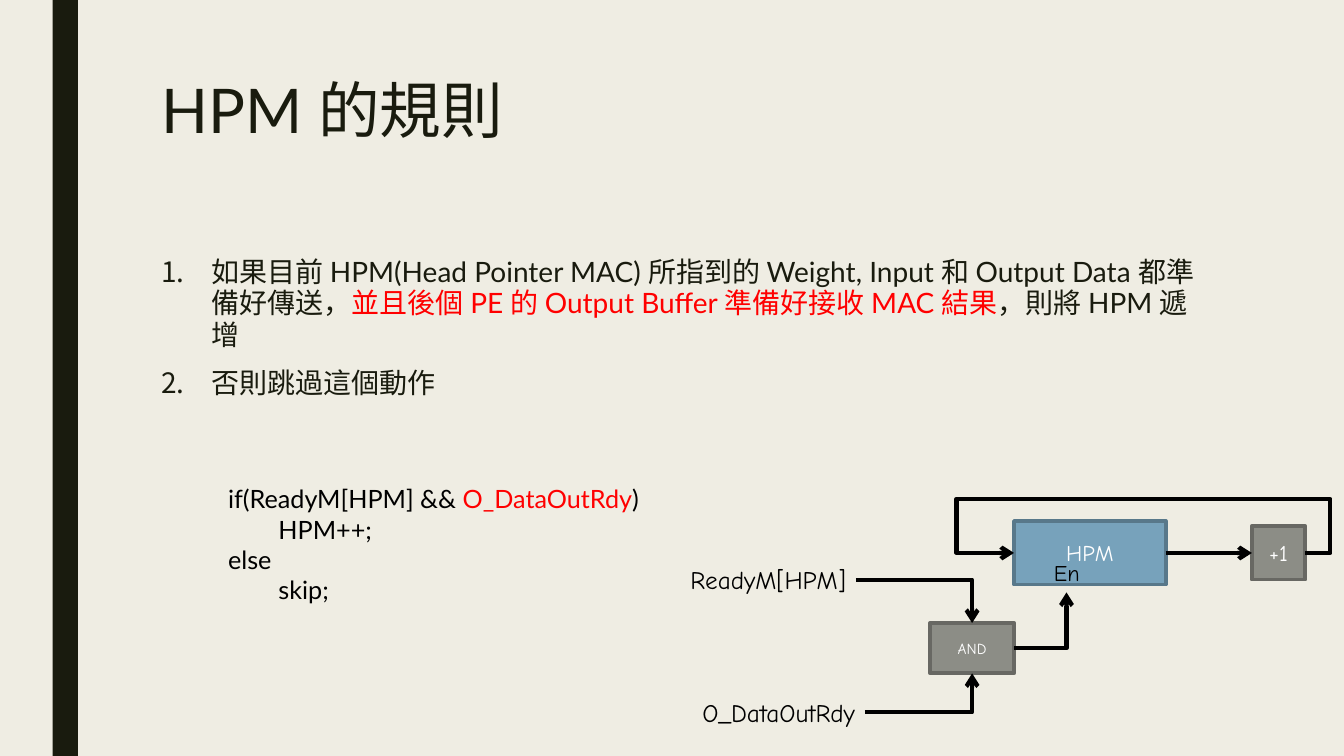
"""Build the slide on the HPM rules with its increment circuit."""
from dataclasses import dataclass

import pptx
import pptx.dml.color
import pptx.enum.shapes
import pptx.enum.text
import pptx.oxml
import pptx.oxml.ns
import pptx.util

Pt = pptx.util.Pt
ALIGN = pptx.enum.text.PP_ALIGN
CONNECTOR = pptx.enum.shapes.MSO_CONNECTOR


@dataclass(frozen=True)
class Theme:
    paper: str = "EFEDE3"
    ink: str = "191B0E"
    black: str = "000000"
    white: str = "FFFFFF"
    accent: str = "FF0000"
    register: tuple = ("77A2BB", "58788A")
    logic: tuple = ("8C8D86", "686863")
    text_font: str = "Lato"
    drawing_font: str = "Comic Neue"
    title: int = 44
    body: int = 20
    code: int = 18
    signal: int = 18
    block: int = 16
    gate: int = 11
    outline: float = 2.75
    wire: float = 3


THEME = Theme()


def color(value):
    return pptx.dml.color.RGBColor.from_string(value)


def add_element(parent, tag, **attributes):
    element = pptx.oxml.parse_xml(f"<a:{tag} {pptx.oxml.ns.nsdecls('a')}/>")
    for name, value in attributes.items():
        element.set(name, value)
    parent.append(element)


def add_text_box(page, left, top, width, height, wrap=True):
    box = page.shapes.add_textbox(Pt(left), Pt(top), Pt(width), Pt(height))
    box.text_frame.word_wrap = wrap
    return box.text_frame


def write(para, spans, size, font, ink, align=ALIGN.LEFT):
    """Fill a paragraph with (text, color) spans, where None means the ink color."""
    para.alignment = align
    para.font.size = Pt(size)
    para.font.name = font
    para.font.color.rgb = color(ink)
    for text, span_color in spans:
        span = para.add_run()
        span.text = text
        if span_color:
            span.font.color.rgb = color(span_color)


def add_paragraphs(frame, count):
    return [frame.paragraphs[0]] + [frame.add_paragraph() for _ in range(count - 1)]


def add_title(page, text):
    para = add_text_box(page, 108, 54, 756, 116.6).paragraphs[0]
    para.line_spacing = 0.89
    write(para, [(text, None)], THEME.title, THEME.text_font, THEME.ink)


def add_rules(page, rules):
    frame = add_text_box(page, 108, 180, 756, 282)
    for index, (para, spans) in enumerate(zip(add_paragraphs(frame, len(rules)), rules)):
        para.line_spacing = 0.94
        para.space_before = Pt(10 if index else 0)
        para.space_after = Pt(2)
        properties = para._p.get_or_add_pPr()
        properties.set("marL", str(Pt(36)))
        properties.set("indent", str(Pt(-36)))
        add_element(properties, "buFont", typeface="+mj-lt")
        add_element(properties, "buAutoNum", type="arabicPeriod")
        write(para, spans, THEME.body, THEME.text_font, THEME.ink)


def add_code(page, lines):
    frame = add_text_box(page, 113.8, 342, 718.6, 94.5)
    for para, (depth, spans) in zip(add_paragraphs(frame, len(lines)), lines):
        para._p.get_or_add_pPr().set("marL", str(Pt(42 + 36 * depth)))
        write(para, spans, THEME.code, THEME.text_font, THEME.black)


def add_label(page, text, left, top, width, height, size, wrap=True):
    para = add_text_box(page, left, top, width, height, wrap).paragraphs[0]
    write(para, [(text, None)], size, THEME.drawing_font, THEME.black, ALIGN.RIGHT)


def add_rectangle(page, left, top, width, height, fill):
    shape = page.shapes.add_shape(
        pptx.enum.shapes.MSO_SHAPE.RECTANGLE, Pt(left), Pt(top), Pt(width), Pt(height))
    shape.shadow.inherit = False
    shape.fill.solid()
    shape.fill.fore_color.rgb = color(fill)
    shape.line.fill.background()
    return shape


def add_block(page, text, left, top, width, height, colors, size):
    fill, edge = colors
    shape = add_rectangle(page, left, top, width, height, fill)
    shape.line.color.rgb = color(edge)
    shape.line.width = Pt(THEME.outline)
    frame = shape.text_frame
    frame.vertical_anchor = pptx.enum.text.MSO_ANCHOR.MIDDLE
    write(frame.paragraphs[0], [(text, None)], size, THEME.drawing_font,
          THEME.white, ALIGN.CENTER)


def add_wire(page, start, end, preset=None, adjustments=()):
    """Draw an arrow, straight or bent by the preset and its adjustments."""
    kind = CONNECTOR.ELBOW if preset else CONNECTOR.STRAIGHT
    wire = page.shapes.add_connector(kind, *map(Pt, start), *map(Pt, end))
    wire.line.color.rgb = color(THEME.black)
    wire.line.width = Pt(THEME.wire)
    add_element(wire.line._get_or_add_ln(), "tailEnd", type="arrow")
    properties = wire._element.spPr
    add_element(properties, "effectLst")
    if preset:
        geometry = properties.find(pptx.oxml.ns.qn("a:prstGeom"))
        geometry.set("prst", preset)
        guides = geometry.get_or_add_avLst()
        for number, share in enumerate(adjustments, 1):
            add_element(guides, "gd", name=f"adj{number}", fmla=f"val {round(share * 100000)}")


def add_feedback(page, start, end, right, top, left):
    """Draw the wire that loops back over the register."""
    width, height = start[0] - end[0], start[1] - end[1]
    turns = ((start[0] - right) / width, (start[1] - top) / height, (start[0] - left) / width)
    add_wire(page, start, end, "bentConnector5", turns)


def add_circuit(page):
    add_block(page, "HPM", 724.3, 372.2, 108.3, 45.4, THEME.register, THEME.block)
    add_block(page, "+1", 894.2, 375.8, 38.2, 38.2, THEME.logic, THEME.block)
    add_feedback(page, (932.4, 395.12), (724.3, 395), 950.4, 354.2, 683.3)
    add_wire(page, (832.6, 395), (894.2, 395))
    add_label(page, "En", 745.2, 396, 33.1, 26.6, THEME.block, wrap=False)
    add_label(page, "ReadyM[HPM]", 409.7, 399.6, 201.6, 28.8, THEME.signal)
    add_label(page, "O_DataOutRdy", 416.2, 494.6, 201.6, 28.8, THEME.signal)
    add_block(page, "AND", 664.4, 445, 60, 36, THEME.logic, THEME.gate)
    for start, end in [((611.3, 414.1), (694.4, 445)),
                       ((724.4, 463), (761.8, 423.2)),
                       ((617.8, 508.8), (694.4, 481))]:
        add_wire(page, start, end, "bentConnector2")


def main():
    deck = pptx.Presentation()
    deck.slide_width, deck.slide_height = Pt(960), Pt(540)
    page = deck.slides.add_slide(deck.slide_layouts[6])
    page.background.fill.solid()
    page.background.fill.fore_color.rgb = color(THEME.paper)
    add_rectangle(page, 37.6, 0, 18, 540, THEME.ink)
    add_title(page, "HPM 的規則")
    add_rules(page, [
        [("如果目前 HPM(Head Pointer MAC) 所指到的 Weight, Input 和 Output Data 都準備好傳送，", None),
         ("並且後個 PE 的 Output Buffer 準備好接收 MAC 結果", THEME.accent),
         ("，則將 HPM 遞增", None)],
        [("否則跳過這個動作", None)],
    ])
    add_code(page, [
        (0, [("if(ReadyM[HPM] && ", None), ("O_DataOutRdy", THEME.accent), (")", None)]),
        (1, [("HPM++;", None)]),
        (0, [("else", None)]),
        (1, [("skip;", None)]),
    ])
    add_circuit(page)
    deck.save("out.pptx")


if __name__ == "__main__":
    main()
